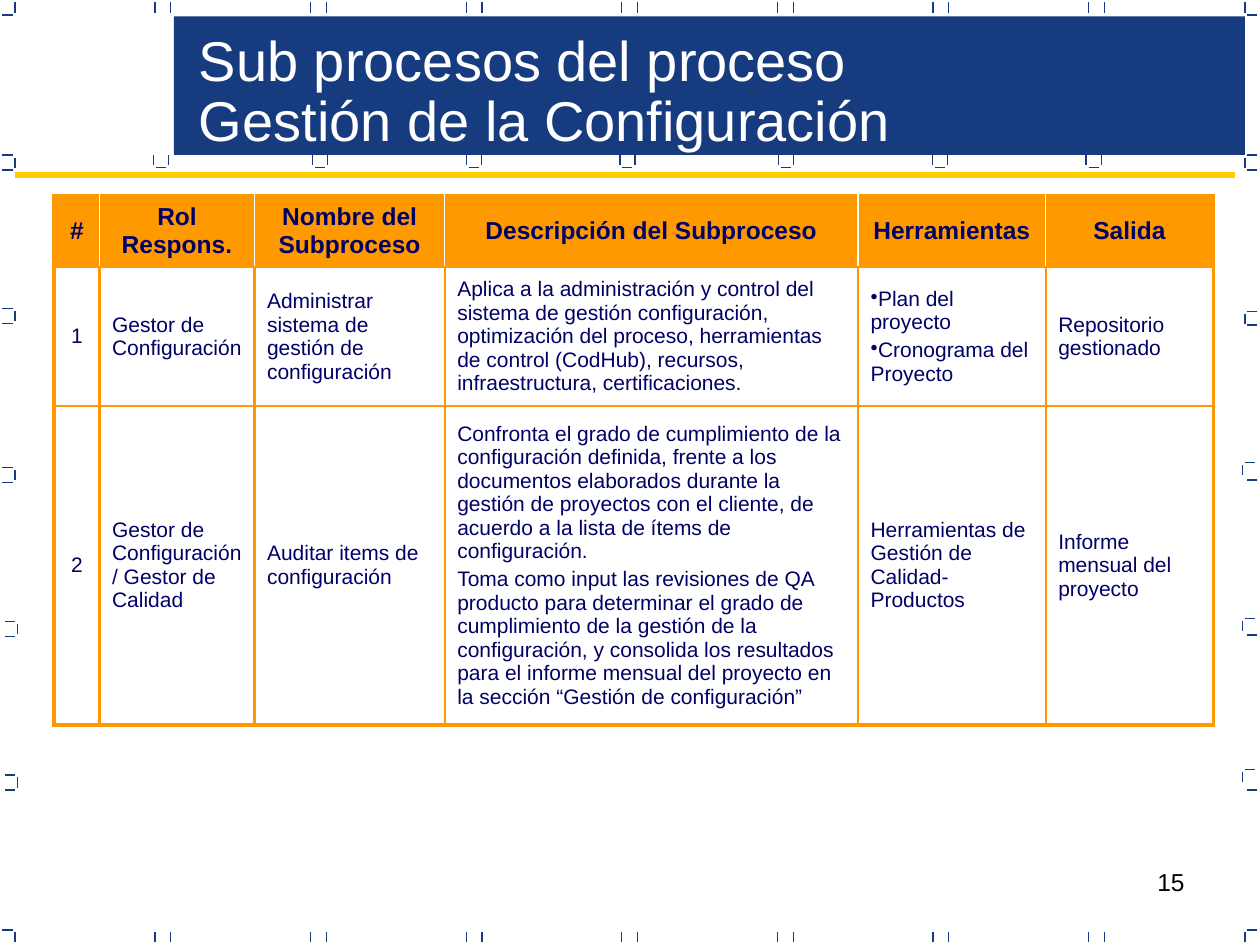
from pptx import Presentation
from pptx.dml.color import RGBColor
from pptx.enum.shapes import MSO_CONNECTOR, MSO_SHAPE
from pptx.enum.text import MSO_ANCHOR, PP_ALIGN
from pptx.oxml.ns import qn
from pptx.util import Inches, Pt
from lxml.etree import SubElement

STRAIGHT = MSO_CONNECTOR.STRAIGHT
RECT = MSO_SHAPE.RECTANGLE
MIDDLE = MSO_ANCHOR.MIDDLE
LEFT, CENTER, RIGHT = PP_ALIGN.LEFT, PP_ALIGN.CENTER, PP_ALIGN.RIGHT

NAVY = RGBColor(0x16, 0x3B, 0x7F)
INK = RGBColor(0x00, 0x00, 0x66)
ORANGE = RGBColor(0xFF, 0x99, 0x00)
GOLD = RGBColor(0xFF, 0xCC, 0x00)
WHITE = RGBColor(0xFF, 0xFF, 0xFF)
BLACK = RGBColor(0x00, 0x00, 0x00)

FONT = "Arial"
WIDE, HIGH = 10, 7.5
TICK, GAP, EDGE = 0.08, 0.02, 0.12
PITCH, FIRST, COUNT = 1.235, 1.23, 7
HOOKS = [1.22, 2.48, 3.7, 4.92, 6.18, 7.4, 8.62]
WEST = [(0.12, 1.25), (0.12, 2.47), (0.12, 3.73), (0.14, 4.95), (0.14, 6.17)]
EAST = [(9.88, 1.25), (9.88, 2.49), (9.86, 3.69), (9.86, 4.93), (9.86, 6.13)]
FEET = [1.35, 2.58, 3.81, 5.04, 6.27]

COLS = [0.36, 1.23, 1.51, 3.28, 1.49, 1.33]
ROWS = [0.57, 1.1, 2.38]
BULLET = "•"
CELLS = [
    ["#", "Rol Respons.", "Nombre del Subproceso",
     "Descripción del Subproceso", "Herramientas", "Salida"],
    ["1", "Gestor de Configuración",
     "Administrar sistema de gestión de configuración",
     "Aplica a la administración y control del sistema de gestión "
     "configuración, optimización del proceso, herramientas de control "
     "(CodHub), recursos, infraestructura, certificaciones.",
     "•Plan del proyecto\n•Cronograma del Proyecto",
     "Repositorio gestionado"],
    ["2", "Gestor de Configuración/ Gestor de Calidad",
     "Auditar items de configuración",
     "Confronta el grado de cumplimiento de la configuración definida, "
     "frente a los documentos elaborados durante la gestión de proyectos "
     "con el cliente, de acuerdo a la lista de ítems de configuración.\n"
     "Toma como input las revisiones de QA producto para determinar el "
     "grado de cumplimiento de la gestión de la configuración, y consolida "
     "los resultados para el informe mensual del proyecto en la sección "
     "“Gestión de configuración”",
     "Herramientas de Gestión de Calidad-Productos",
     "Informe mensual del proyecto"],
]


def style(frame, size, color, align=LEFT, bold=False):
    for para in frame.paragraphs:
        para.alignment = align
        for run in para.runs:
            font = run.font
            font.name, font.size, font.bold = FONT, Pt(size), bold
            font.color.rgb = color


def line(slide, x1, y1, x2, y2, color=NAVY, width=0.75):
    ends = [Inches(v) for v in (x1, y1, x2, y2)]
    rule = slide.shapes.add_connector(STRAIGHT, *ends)
    rule.line.color.rgb = color
    rule.line.width = Pt(width)
    SubElement(rule._element.spPr, qn("a:effectLst"))


def post(slide, x, y):
    line(slide, x, y + TICK, x, y)


def dash(slide, x, y):
    line(slide, x, y, x + TICK, y)


def frame_ticks(slide):
    base = HIGH - GAP - TICK
    pairs = [FIRST + PITCH * i + d for i in range(COUNT) for d in (0, 0.125)]
    for x in pairs + [EDGE, WIDE - EDGE]:
        post(slide, x, GAP)
        post(slide, x, base)
    for x in (GAP, WIDE - GAP - TICK):
        dash(slide, x, EDGE)
        dash(slide, x, HIGH - EDGE)
    for x in HOOKS:
        post(slide, x, 1.23)
        post(slide, x + EDGE, 1.23)
        dash(slide, x + GAP, 1.33)
    for x, y in WEST:
        post(slide, x, y)
        dash(slide, x - GAP - TICK, y - GAP)
        dash(slide, x - GAP - TICK, y + TICK + GAP)
    for (x, y), foot in zip(EAST, FEET):
        post(slide, x, y)
        dash(slide, x + GAP, y - GAP)
        dash(slide, WIDE - GAP - TICK, foot)


def band(slide):
    box = slide.shapes.add_shape(
        RECT, Inches(1.38), Inches(0.13), Inches(8.5), Inches(1.1))
    box.shadow.inherit = False
    box.fill.solid()
    box.fill.fore_color.rgb = NAVY
    box.line.fill.background()


def label(slide, text, place, size, color, align=LEFT, space=1.0):
    box = slide.shapes.add_textbox(*[Inches(v) for v in place])
    frame = box.text_frame
    frame.word_wrap = True
    frame.text = text
    style(frame, size, color, align)
    for para in frame.paragraphs:
        para.line_spacing = space


def border(cell, side, color, width):
    edge = SubElement(cell._tc.get_or_add_tcPr(), qn("a:ln" + side),
                      w=str(Pt(width)))
    fill = SubElement(edge, qn("a:solidFill"))
    SubElement(fill, qn("a:srgbClr"), val=str(color))


def borders(cell, row, col):
    last = len(COLS) - 1
    inner = (WHITE, 1) if row == 0 else (ORANGE, 1.5)
    outer, mid = (ORANGE, 2.25), (ORANGE, 1.5)
    border(cell, "L", *(outer if col == 0 else inner))
    border(cell, "R", *(outer if col == last else inner))
    border(cell, "T", *(outer if row == 0 else mid))
    border(cell, "B", *(outer if row == len(ROWS) - 1 else mid))


def fill_cell(cell, text, row, col):
    head = row == 0
    size = 14 if head else 12
    borders(cell, row, col)
    if head:
        cell.fill.solid()
        cell.fill.fore_color.rgb = ORANGE
    else:
        cell.fill.background()
    cell.vertical_anchor = MIDDLE
    frame = cell.text_frame
    frame.text = text.replace(BULLET, "")
    style(frame, size, INK, CENTER if head or col == 0 else LEFT, head)
    for para in frame.paragraphs:
        para.space_before = Pt(size * 0.2)
        if text.startswith(BULLET):
            props = para._p.get_or_add_pPr()
            SubElement(props, qn("a:buChar"), char=BULLET)


def grid(slide):
    place = [Inches(v) for v in (0.43, 1.55, sum(COLS), sum(ROWS))]
    table = slide.shapes.add_table(len(ROWS), len(COLS), *place).table
    table.first_row = table.horz_banding = False
    for col, width in enumerate(COLS):
        table.columns[col].width = Inches(width)
    for row, texts in enumerate(CELLS):
        table.rows[row].height = Inches(ROWS[row])
        for col, text in enumerate(texts):
            fill_cell(table.cell(row, col), text, row, col)


def main():
    deck = Presentation()
    deck.slide_width, deck.slide_height = Inches(WIDE), Inches(HIGH)
    slide = deck.slides.add_slide(deck.slide_layouts[6])
    label(slide, "15", (7.17, 6.83, 2.33, 0.52), 14, BLACK, RIGHT)
    frame_ticks(slide)
    band(slide)
    grid(slide)
    label(slide, "Sub procesos del proceso\nGestión de la Configuración",
          (1.48, 0.21, 8.32, 1.06), 32, WHITE, space=0.9)
    line(slide, EDGE, 1.39, 9.8, 1.39, GOLD, 3)
    deck.save("out.pptx")


if __name__ == "__main__":
    main()
